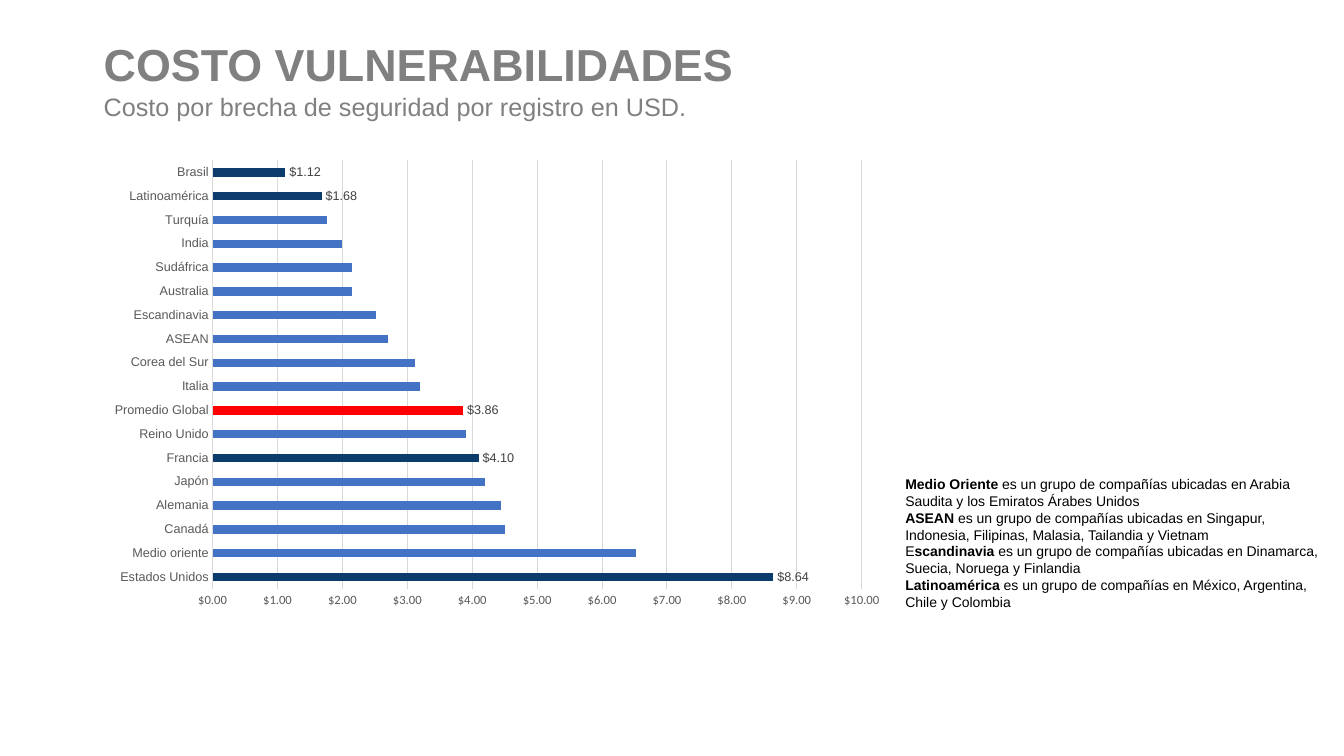
import pptx
import pptx.util
import pptx.chart.data
import pptx.enum.chart
import pptx.enum.text
import pptx.dml.color

RGBColor = pptx.dml.color.RGBColor
Pt = pptx.util.Pt
GRAY = RGBColor(0x80, 0x80, 0x80)
BLACK = RGBColor(0, 0, 0)
LABEL = RGBColor(0x59, 0x59, 0x59)
VALUE = RGBColor(0x40, 0x40, 0x40)
GRID = RGBColor(0xD9, 0xD9, 0xD9)
BLUE = RGBColor(0x44, 0x72, 0xC4)
NAVY = RGBColor(0x0C, 0x3C, 0x6C)
RED = RGBColor(0xFF, 0, 0)

# Content: paragraphs of (text, size, bold) runs
TITLE = [
    [("COSTO VULNERABILIDADES", 32, True)],
    [("Costo por brecha de seguridad por registro en USD.", 18, False)],
]
NOTES = [
    [("Medio Oriente ", 10, True),
     ("es un grupo de compañías ubicadas en Arabia Saudita y los Emiratos Árabes Unidos", 10, False)],
    [("ASEAN ", 10, True),
     ("es un grupo de compañías ubicadas en Singapur, Indonesia, Filipinas, "
      "Malasia, Tailandia y Vietnam", 10, False)],
    [("E", 10, False), ("scandinavia", 10, True),
     (" es un grupo de compañías ubicadas en Dinamarca, Suecia, Noruega y Finlandia", 10, False)],
    [("Latinoamérica ", 10, True),
     ("es un grupo de compañías en México, Argentina, Chile y Colombia", 10, False)],
]
COSTS = {
    "Estados Unidos": 8.64, "Medio oriente": 6.52, "Canadá": 4.5,
    "Alemania": 4.45, "Japón": 4.19, "Francia": 4.1, "Reino Unido": 3.9,
    "Promedio Global": 3.86, "Italia": 3.19, "Corea del Sur": 3.12,
    "ASEAN": 2.71, "Escandinavia": 2.51, "Australia": 2.15,
    "Sudáfrica": 2.14, "India": 2, "Turquía": 1.77,
    "Latinoamérica": 1.68, "Brasil": 1.12,
}
MARKED = {"Estados Unidos": NAVY, "Francia": NAVY, "Promedio Global": RED,
          "Latinoamérica": NAVY, "Brasil": NAVY}
MONEY = '"$"#,##0.00'

# Places: left, top, width, height in percent of the slide
HEAD = (6.98, 4.27, 79.97, 13.07)
PLOT = (7.35, 20, 59.26, 61.6)
SIDE = (66.62, 62.27, 33.01, 19.33)

deck = pptx.Presentation()
deck.slide_width = pptx.util.Inches(13.33)
deck.slide_height = pptx.util.Inches(7.5)
slide = deck.slides.add_slide(deck.slide_layouts[6])


def place(area):
    sides = (deck.slide_width, deck.slide_height) * 2
    return [int(side * part / 100) for side, part in zip(sides, area)]


def style(font, size, color, face="Arial"):
    font.size = Pt(size)
    font.name = face
    font.color.rgb = color


def write(area, paras, color):
    frame = slide.shapes.add_textbox(*place(area)).text_frame
    frame.word_wrap = True
    frame.auto_size = pptx.enum.text.MSO_AUTO_SIZE.SHAPE_TO_FIT_TEXT
    for i, runs in enumerate(paras):
        para = frame.add_paragraph() if i else frame.paragraphs[0]
        for text, size, bold in runs:
            run = para.add_run()
            run.text = text
            style(run.font, size, color)
            run.font.bold = bold


# Heading
write(HEAD, TITLE, GRAY)

# Bar chart
kinds = pptx.enum.chart
data = pptx.chart.data.CategoryChartData(number_format=MONEY)
data.categories = list(COSTS)
data.add_series("Series 1", list(COSTS.values()))
chart = slide.shapes.add_chart(
    kinds.XL_CHART_TYPE.BAR_CLUSTERED, *place(PLOT), data).chart
chart.has_legend = False
chart.has_title = False
style(chart.font, 10, BLACK, "Calibri")
bars = chart.plots[0]
bars.gap_width = 182
bars.vary_by_categories = False

# Axes
for axis, face in ((chart.category_axis, "Arial"), (chart.value_axis, "Calibri")):
    axis.major_tick_mark = axis.minor_tick_mark = kinds.XL_TICK_MARK.NONE
    style(axis.tick_labels.font, 9, LABEL, face)
names, scale = chart.category_axis, chart.value_axis
names.has_major_gridlines = False
scale.has_major_gridlines = True
for line in (names.format.line, scale.major_gridlines.format.line):
    line.color.rgb = GRID
    line.width = Pt(0.75)
scale.format.line.fill.background()
scale.minimum_scale, scale.maximum_scale, scale.major_unit = 0, 10, 1
scale.tick_labels.number_format = MONEY
scale.tick_labels.number_format_is_linked = False

# Bars, with labels on the marked ones only
series = bars.series[0]
series.invert_if_negative = False
series.format.fill.solid()
series.format.fill.fore_color.rgb = BLUE
labels = series.data_labels
labels.show_value = False
labels.number_format = MONEY
labels.number_format_is_linked = False
style(labels.font, 9, VALUE)
for i, name in enumerate(COSTS):
    if name in MARKED:
        point = series.points[i]
        point.format.fill.solid()
        point.format.fill.fore_color.rgb = MARKED[name]
        style(point.data_label.font, 9, VALUE)
        point.data_label.position = kinds.XL_LABEL_POSITION.OUTSIDE_END

# Notes on the regions
write(SIDE, NOTES, BLACK)

deck.save("out.pptx")
